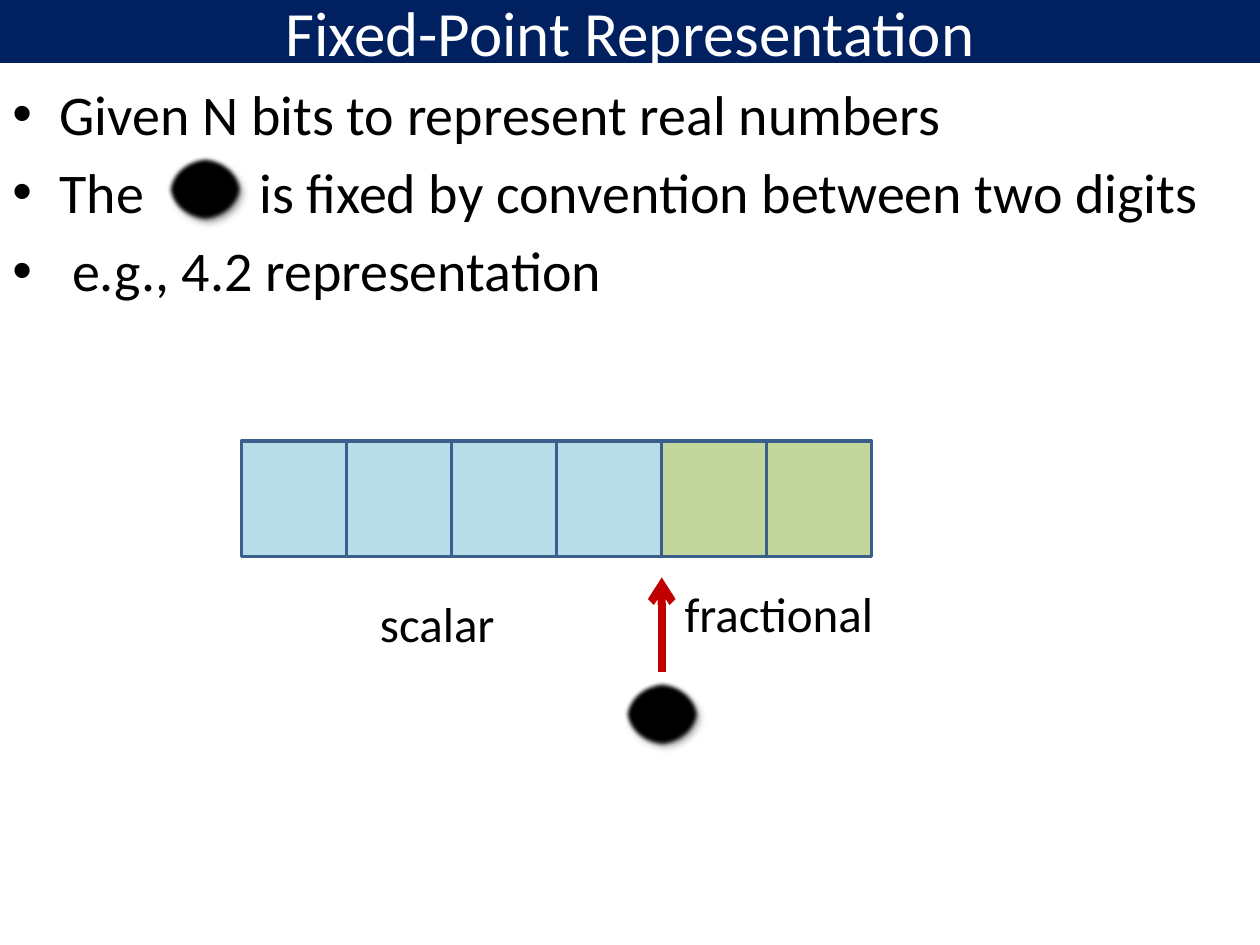
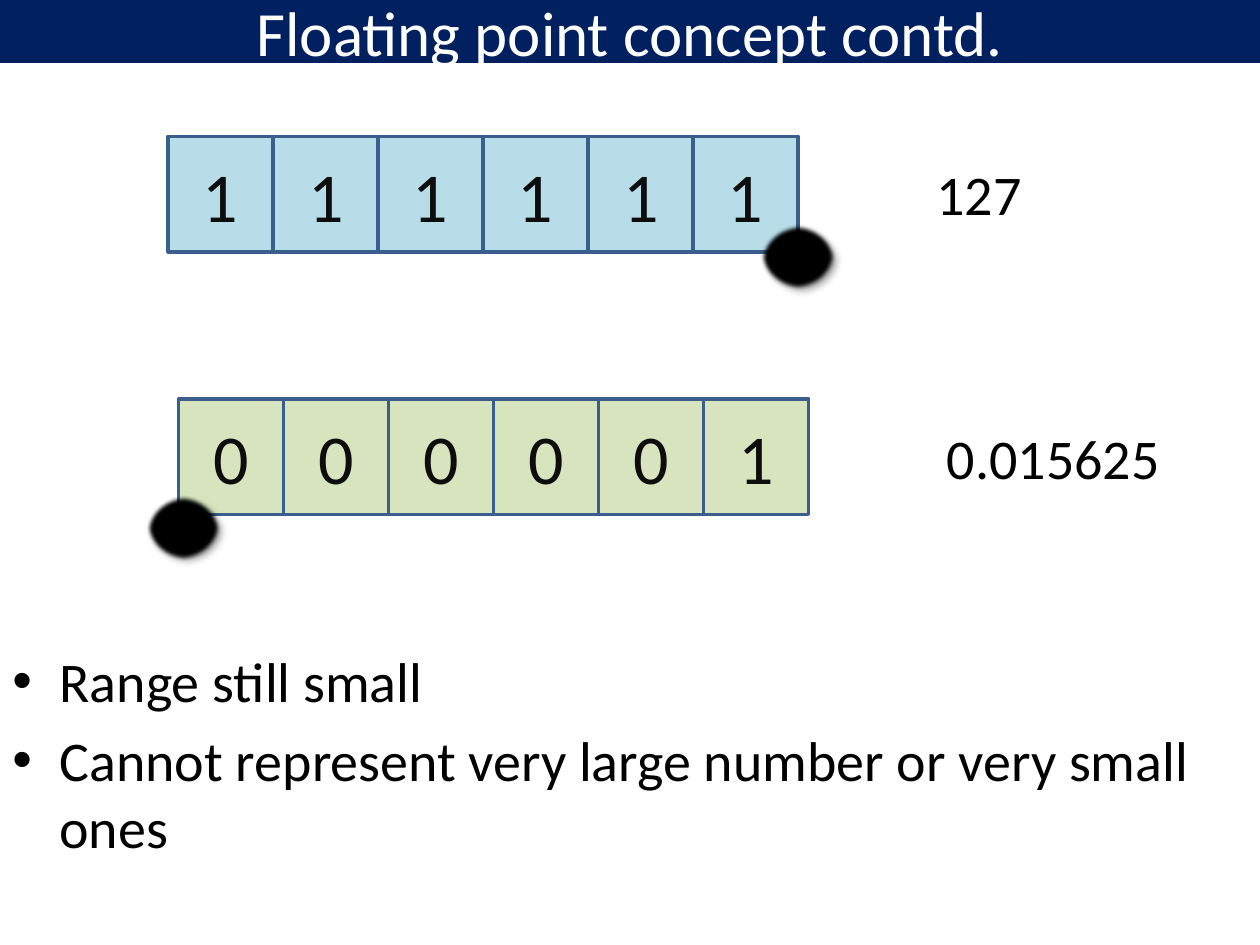
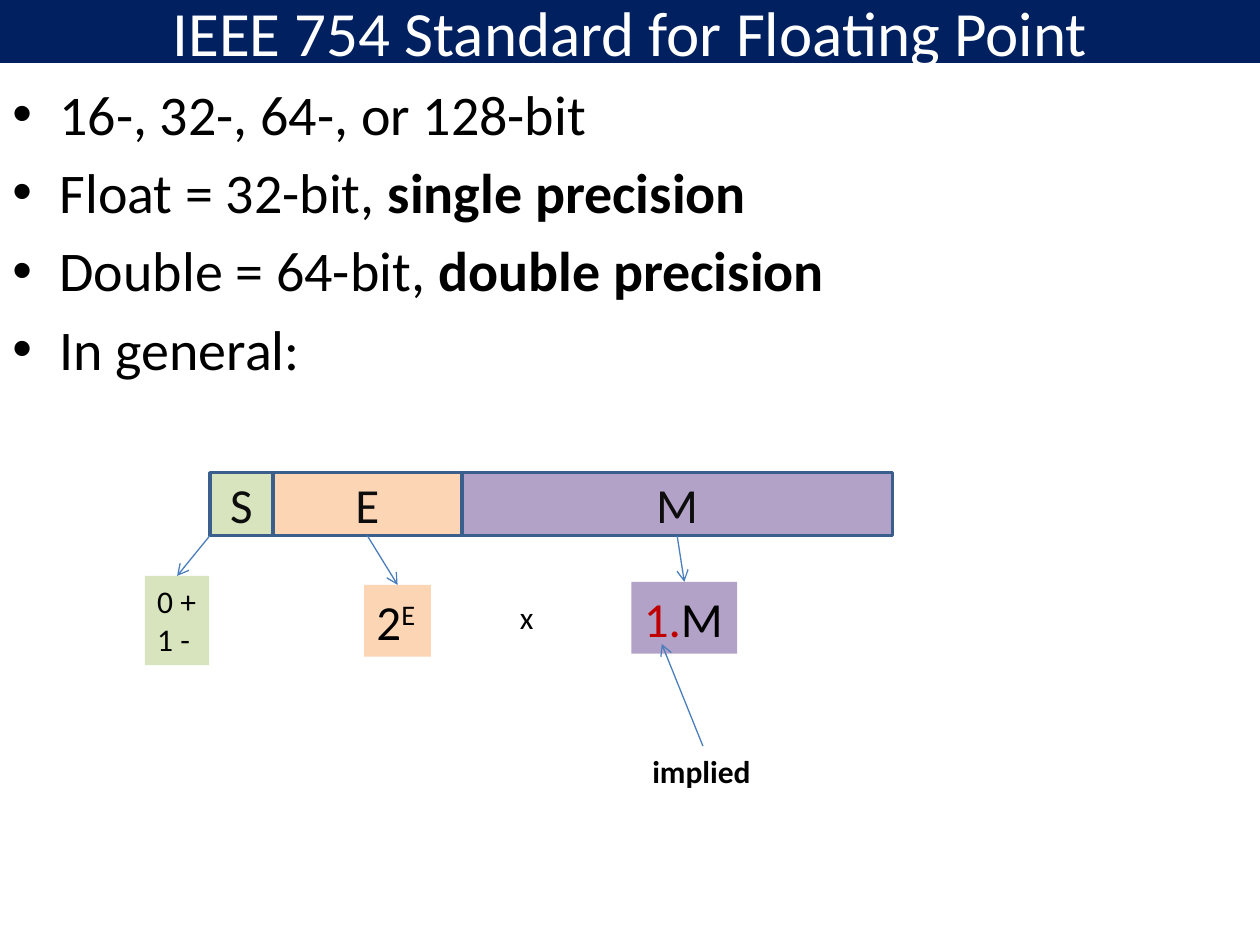
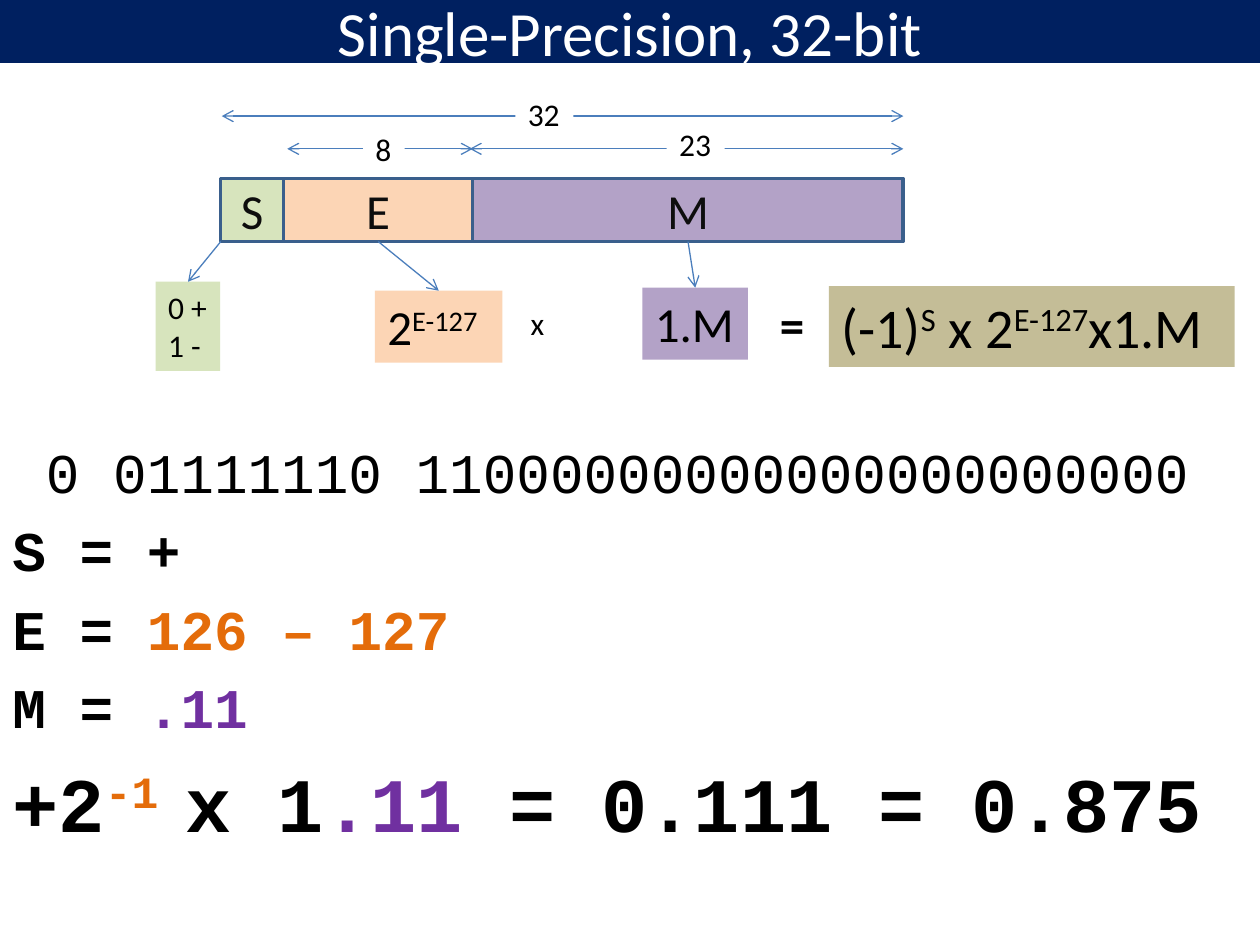
from lxml.etree import SubElement
from pptx import Presentation
from pptx.dml.color import RGBColor
from pptx.enum.shapes import MSO_CONNECTOR as CONN, MSO_SHAPE as SHAPE
from pptx.enum.text import MSO_ANCHOR as ANCHOR, MSO_AUTO_SIZE as AUTO, PP_ALIGN as ALIGN
from pptx.oxml import parse_xml
from pptx.oxml.ns import qn
from pptx.util import Cm, Pt

WIDTH, HEIGHT, BAND = 25.4, 19.05, 1.27
SANS, MONO = "Calibri", "Courier New"
NAVY, WHITE, BLACK, INK = "002060", "FFFFFF", "000000", "0D0D0D"
EDGE, ARROW, RED = "3A5F8C", "4B7EBC", "C00000"
BLUE, OLIVE, GREEN = "B7DEE8", "C3D69B", "D7E4BD"
PEACH, LILAC, TAN = "FCD5B5", "B3A2C7", "C4BD97"
ORANGE, PURPLE = "E46C0A", "7030A0"

CELL_W, CELL_H = 12.7 / 6, 2.33
DOT_W, DOT_H = 1.48, 1.27
FIELD_H = 1.27
FIELDS = [("S", 1.27, GREEN), ("E", 3.81, PEACH), ("M", 8.68, LILAC)]

BOLD = {"bold": True}
SUP = {"base": 30}

SLIDES = [
    {
        "title": "Fixed-Point Representation",
        "body": (1.47, 17.58, [
            [("Given N bits to represent real numbers", {})],
            [("The", {}), (" ", {"spacing": 58.5}),
             ("is fixed by convention between two digits", {})],
            [(" e.g., 4.2 representation", {})],
        ]),
        "rows": [(4.87, 8.89, [("", BLUE)] * 4 + [("", OLIVE)] * 2)],
        "labels": [
            ((7.41, 11.85, 2.84, 1.45), 28, None, [("scalar", {})]),
            ((13.55, 11.64, 4.37, 1.45), 28, None, [("fractional", {})]),
        ],
        "dots": [(3.39, 3.18), (12.6, 13.76)],
        "arrows": [((13.34, 13.55), (13.34, 11.64), RED, 4.5, False)],
    },
    {
        "title": "Floating point concept contd.",
        "body": (12.91, 6.14, [
            [("Range still small", {})],
            [("Cannot represent very large number or very small ones", {})],
        ]),
        "rows": [
            (3.39, 2.75, [(bit, BLUE) for bit in "111111"]),
            (3.6, 8.04, [(bit, GREEN) for bit in "000001"]),
        ],
        "labels": [
            ((18.63, 3.1, 2.26, 1.63), 32, None, [("127", {})]),
            ((18.84, 8.41, 4.85, 1.63), 32, None, [("0.015625", {})]),
        ],
        "dots": [(15.35, 4.55), (2.96, 10.01)],
    },
    {
        "title": "IEEE 754 Standard for Floating Point",
        "body": (1.47, 6.55, [
            [("16-, 32-, 64-, or 128-bit", {})],
            [("Float = 32-bit, ", {}), ("single precision", BOLD)],
            [("Double = 64-bit, ", {}), ("double precision", BOLD)],
            [("In general:", {})],
        ]),
        "format": (4.23, 9.53, 1.35, [("2", {}), ("E", SUP)],
                   [("1.", {"color": RED}), ("M", {})]),
        "labels": [((12.9, 15.04, 2.51, 1.02), 18, None, [("implied", BOLD)])],
        "arrows": [((14.17, 15.04), (13.34, 12.98), ARROW, 0.75, False)],
    },
    {
        "title": "Single-Precision, 32-bit",
        "code": (8.69, 10.36, [
            (32, [(" ", BOLD), ("0 01111110 11000000000000000000000", {})]),
            (32, [("S = +", BOLD)]),
            (32, [("E = ", BOLD), ("126 – 127", {**BOLD, "color": ORANGE})]),
            (32, [("M = ", BOLD), (".11", {**BOLD, "color": PURPLE})]),
            (44, [("+2", BOLD), ("-1 ", {**BOLD, **SUP, "color": ORANGE}),
                  ("x 1", BOLD), (".11 ", {**BOLD, "color": PURPLE}),
                  ("= 0.111 = 0.875", BOLD)]),
        ]),
        "format": (4.45, 3.6, 2.57, [("2", {}), ("E-127", SUP)], [("1.M", {})]),
        "arrows": [
            ((4.47, 2.34), (18.21, 2.34), ARROW, 0.75, True),
            ((5.79, 3), (9.53, 3), ARROW, 0.75, True),
            ((9.47, 3), (18.21, 3), ARROW, 0.75, True),
        ],
        "labels": [
            ((10.39, 1.8, 1.17, 1.02), 18, WHITE, [("32", {})]),
            ((7.32, 2.49, 0.84, 1.02), 18, WHITE, [("8", {})]),
            ((13.44, 2.39, 1.17, 1.02), 18, WHITE, [("23", {})]),
            ((16.71, 5.77, 8.18, 1.63), 32, TAN,
             [("(-1)", {}), ("S", SUP), (" x 2", {}), ("E-127", SUP), ("x1.M", {})]),
            ((15.47, 5.82, 1.02, 1.45), 28, None, [("=", BOLD)]),
        ],
    },
]

DOT_EFFECTS = (
    '<a:effectLst xmlns:a="http://schemas.openxmlformats.org/drawingml/2006/main">'
    '<a:outerShdw blurRad="50800" dist="38100" dir="2700000" algn="tl" rotWithShape="0">'
    '<a:srgbClr val="000000"><a:alpha val="40000"/></a:srgbClr></a:outerShdw>'
    '<a:softEdge rad="31750"/></a:effectLst>'
)


def rgb(value):
    return RGBColor.from_string(value)


def add_runs(p, runs, size, font=SANS, color=BLACK):
    for text, style in runs:
        r = p.add_run()
        r.text = text
        r.font.name, r.font.size = font, Pt(size)
        r.font.bold = style.get("bold", False)
        r.font.color.rgb = rgb(style.get("color", color))
        rPr = r.font._element
        if "base" in style:
            rPr.set("baseline", str(style["base"] * 1000))
        if "spacing" in style:
            rPr.set("spc", str(int(style["spacing"] * 100)))


def add_box(s, kind, box, fill, line=None, text="", size=28, color=INK):
    sp = s.shapes.add_shape(kind, *map(Cm, box))
    sp.shadow.inherit = False
    sp.fill.solid()
    sp.fill.fore_color.rgb = rgb(fill)
    if line:
        sp.line.color.rgb = rgb(line)
        sp.line.width = Pt(2)
    else:
        sp.line.fill.background()
    if text:
        tf = sp.text_frame
        tf.word_wrap = True
        tf.vertical_anchor = ANCHOR.MIDDLE
        p = tf.paragraphs[0]
        p.alignment = ALIGN.CENTER
        add_runs(p, [(text, {})], size, color=color)
    return sp


def add_dot(s, left, top):
    sp = add_box(s, SHAPE.OVAL, (left, top, DOT_W, DOT_H), BLACK, BLACK)
    spPr = sp._element.spPr
    spPr.replace(spPr.find(qn("a:effectLst")), parse_xml(DOT_EFFECTS))


def add_label(s, box, size, fill, *lines):
    sp = s.shapes.add_textbox(*map(Cm, box))
    if fill:
        sp.fill.solid()
        sp.fill.fore_color.rgb = rgb(fill)
    tf = sp.text_frame
    tf.word_wrap = False
    tf.auto_size = AUTO.SHAPE_TO_FIT_TEXT
    for i, runs in enumerate(lines):
        p = tf.add_paragraph() if i else tf.paragraphs[0]
        add_runs(p, runs, size)


def add_body(s, top, height, paragraphs, font=SANS, bullet=True):
    tf = s.shapes.add_textbox(0, Cm(top), Cm(WIDTH), Cm(height)).text_frame
    tf.word_wrap = True
    for i, (size, runs) in enumerate(paragraphs):
        p = tf.add_paragraph() if i else tf.paragraphs[0]
        p.space_before = Pt(size * 0.2)
        if bullet:
            pPr = p._p.get_or_add_pPr()
            pPr.set("marL", str(Cm(0.95)))
            pPr.set("indent", str(-Cm(0.95)))
            SubElement(pPr, qn("a:buFont")).set("typeface", "Arial")
            SubElement(pPr, qn("a:buChar")).set("char", "•")
        add_runs(p, runs, size, font)


def add_arrow(s, start, end, color=ARROW, width=0.75, both=False):
    c = s.shapes.add_connector(CONN.STRAIGHT, *map(Cm, start + end))
    c.line.color.rgb = rgb(color)
    c.line.width = Pt(width)
    ln = c.line._get_or_add_ln()
    for tag in ("a:headEnd", "a:tailEnd") if both else ("a:tailEnd",):
        SubElement(ln, qn(tag)).set("type", "arrow")
    SubElement(c._element.spPr, qn("a:effectLst"))


def add_row(s, left, top, cells):
    for i, (bit, fill) in enumerate(cells):
        box = (left + i * CELL_W, top, CELL_W, CELL_H)
        add_box(s, SHAPE.RECTANGLE, box, fill, EDGE, bit, 40)


def add_format(s, left, top, exponent_w, exponent, mantissa):
    x, centres = left, {}
    for name, width, fill in FIELDS:
        add_box(s, SHAPE.RECTANGLE, (x, top, width, FIELD_H), fill, EDGE, name)
        centres[name] = x + width / 2
        x += width
    sign = [[("0 +", {})], [("1 -", {})]]
    parts = [
        (left, (-1.31, 2.08, 1.3, 1.8), 18, GREEN, sign),
        (centres["E"], (3.11, 2.26, exponent_w, 1.45), 28, PEACH, [exponent]),
        (centres["M"], (8.5, 2.2, 2.13, 1.45), 28, LILAC, [mantissa]),
    ]
    for start, (dx, dy, w, h), size, fill, lines in parts:
        add_label(s, (left + dx, top + dy, w, h), size, fill, *lines)
        add_arrow(s, (start, top + FIELD_H), (left + dx + w / 2, top + dy))
    add_label(s, (left + 6, top + 2.41, 0.79, 1.02), 18, None, [("x", {})])


def build_slide(prs, data):
    s = prs.slides.add_slide(prs.slide_layouts[6])
    add_box(s, SHAPE.RECTANGLE, (0, 0, WIDTH, BAND), NAVY, None, data["title"], 36, WHITE)
    if "body" in data:
        top, height, lines = data["body"]
        add_body(s, top, height, [(32, runs) for runs in lines])
    if "code" in data:
        add_body(s, *data["code"], font=MONO, bullet=False)
    for row in data.get("rows", []):
        add_row(s, *row)
    if "format" in data:
        add_format(s, *data["format"])
    for arrow in data.get("arrows", []):
        add_arrow(s, *arrow)
    for label in data.get("labels", []):
        add_label(s, *label)
    for dot in data.get("dots", []):
        add_dot(s, *dot)


def main():
    prs = Presentation()
    prs.slide_width, prs.slide_height = Cm(WIDTH), Cm(HEIGHT)
    for data in SLIDES:
        build_slide(prs, data)
    prs.save("out.pptx")


if __name__ == "__main__":
    main()
